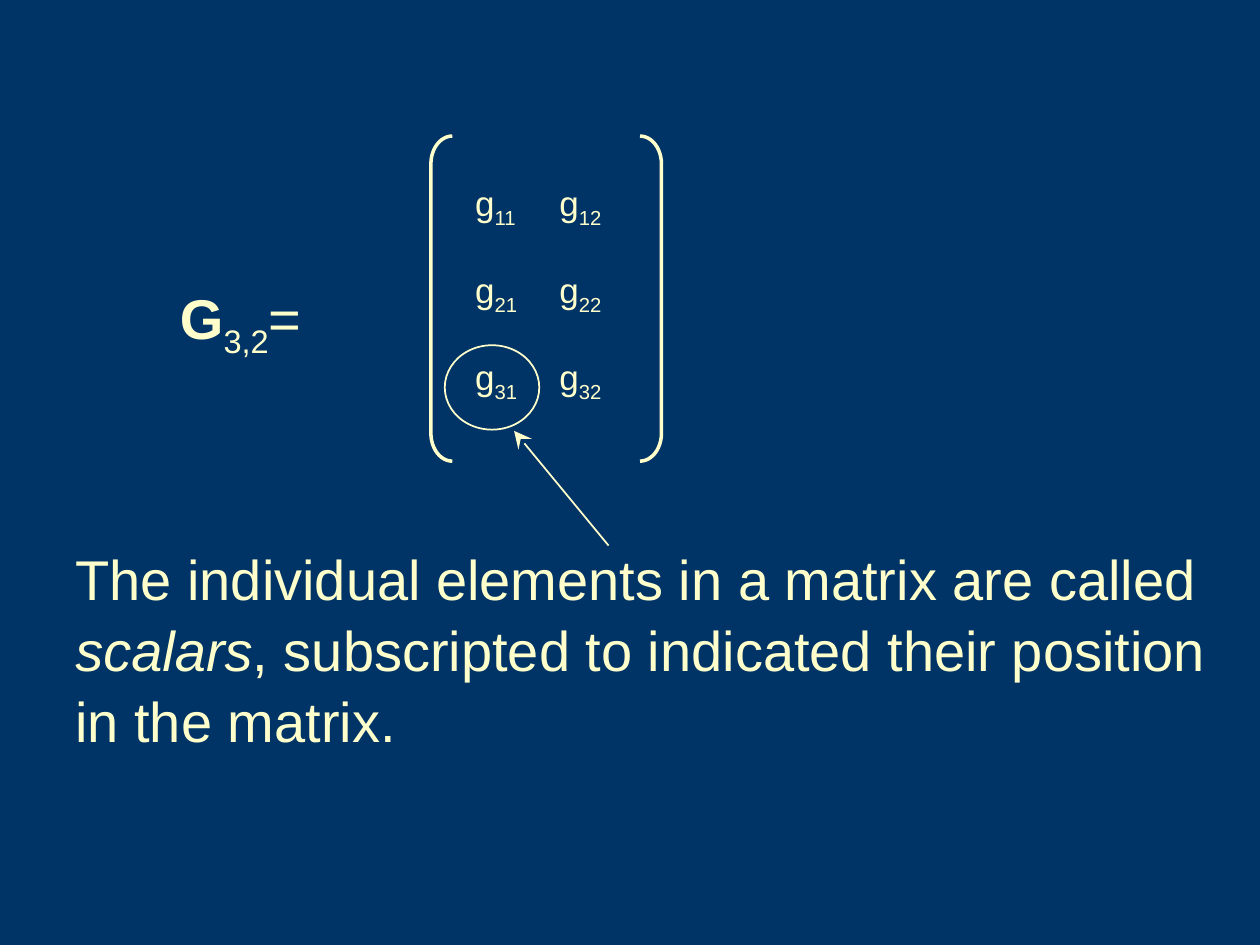
from lxml import etree
from pptx import Presentation
from pptx.dml.color import RGBColor
from pptx.enum import shapes, text
from pptx.oxml.ns import qn
from pptx.util import Inches, Pt

NAVY = RGBColor(0x00, 0x33, 0x66)
CREAM = RGBColor(0xFF, 0xFF, 0xCC)


def add_run(p, words, size=32, bold=False, italic=False, sub=False):
    r = p.add_run()
    r.text = words
    f = r.font
    f.name, f.size, f.bold, f.italic = "Arial", Pt(size), bold, italic
    f.color.rgb = CREAM
    if sub:
        r._r.get_or_add_rPr().set("baseline", "-25000")


def add_text(s, x, y, w, h, runs):
    tf = s.shapes.add_textbox(Inches(x), Inches(y), Inches(w), Inches(h)).text_frame
    tf.word_wrap = True
    tf.auto_size = text.MSO_AUTO_SIZE.SHAPE_TO_FIT_TEXT
    p = tf.paragraphs[0]
    p.line_spacing = 1.05
    for words, style in runs:
        add_run(p, words, **style)


def add_matrix(s, x, y, rows, cols, cell=0.67, row_height=0.69):
    frame = s.shapes.add_table(rows, cols, Inches(x), Inches(y),
                               Inches(cols * cell), Inches(rows * row_height))
    table = frame.table
    table.first_row = table.horz_banding = False
    for i in range(rows):
        for j in range(cols):
            c = table.cell(i, j)
            c.fill.background()
            # No cell borders
            for n, side in enumerate(("lnL", "lnR", "lnT", "lnB")):
                ln = etree.Element(qn(f"a:{side}"), w="0")
                etree.SubElement(ln, qn("a:noFill"))
                c._tc.get_or_add_tcPr().insert(n, ln)
            p = c.text_frame.paragraphs[0]
            add_run(p, "g", size=20)
            add_run(p, f"{i + 1}{j + 1}", size=20, sub=True)


def add_outline(s, kind, x, y, w, h, width):
    sp = s.shapes.add_shape(kind, Inches(x), Inches(y), Inches(w), Inches(h))
    sp.shadow.inherit = False
    sp.fill.background()
    sp.line.color.rgb = CREAM
    sp.line.width = Pt(width)
    return sp


def add_arrow(s, x1, y1, x2, y2):
    line = s.shapes.add_connector(shapes.MSO_CONNECTOR.STRAIGHT, Inches(x1),
                                  Inches(y1), Inches(x2), Inches(y2))
    line.line.color.rgb = CREAM
    line.line.width = Pt(1)
    etree.SubElement(line.line._get_or_add_ln(), qn("a:tailEnd"), type="stealth",
                     w="lg", len="lg")
    etree.SubElement(line._element.spPr, qn("a:effectLst"))


def main():
    prs = Presentation()
    prs.slide_width, prs.slide_height = Inches(10), Inches(7.5)
    s = prs.slides.add_slide(prs.slide_layouts[6])
    s.background.fill.solid()
    s.background.fill.fore_color.rgb = NAVY

    # Matrix and its name
    add_matrix(s, 3.67, 1.42, rows=3, cols=2)
    add_text(s, 1.33, 2.17, 1.75, 0.71,
             [("G", {"bold": True}), ("3,2", {"sub": True}), ("=", {})])

    # Brackets around the matrix
    for kind, x in ((shapes.MSO_SHAPE.LEFT_BRACKET, 3.42),
                    (shapes.MSO_SHAPE.RIGHT_BRACKET, 5.08)):
        add_outline(s, kind, x, 1.08, 0.17, 2.58, 2).adjustments[0] = 1.3

    # Circled element and its explanation
    add_outline(s, shapes.MSO_SHAPE.OVAL, 3.53, 2.74, 0.75, 0.67, 1)
    add_text(s, 0.5, 4.25, 9.33, 1.7,
             [("The individual elements in a matrix are called ", {}),
              ("scalars", {"italic": True}),
              (", subscripted to indicated their position in the matrix.", {})])
    add_arrow(s, 4.83, 4.33, 4.08, 3.42)

    prs.save("out.pptx")


if __name__ == "__main__":
    main()
